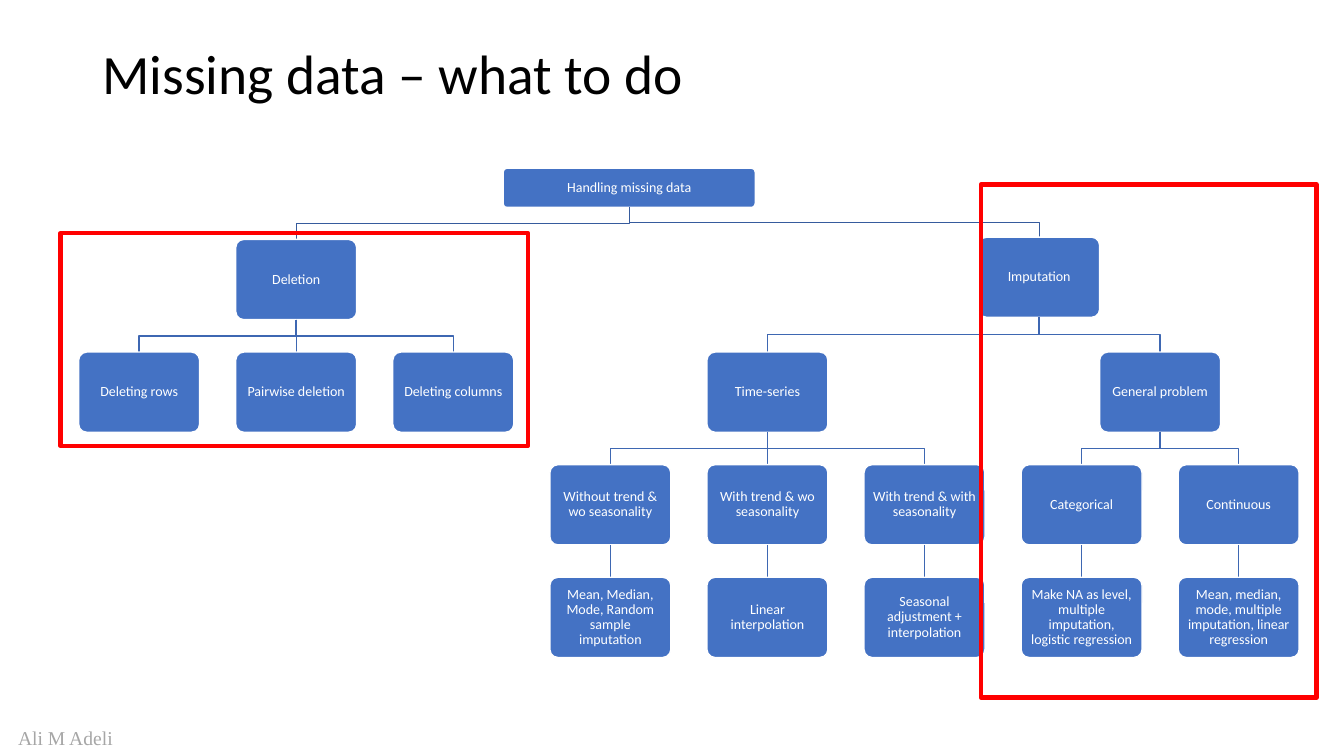
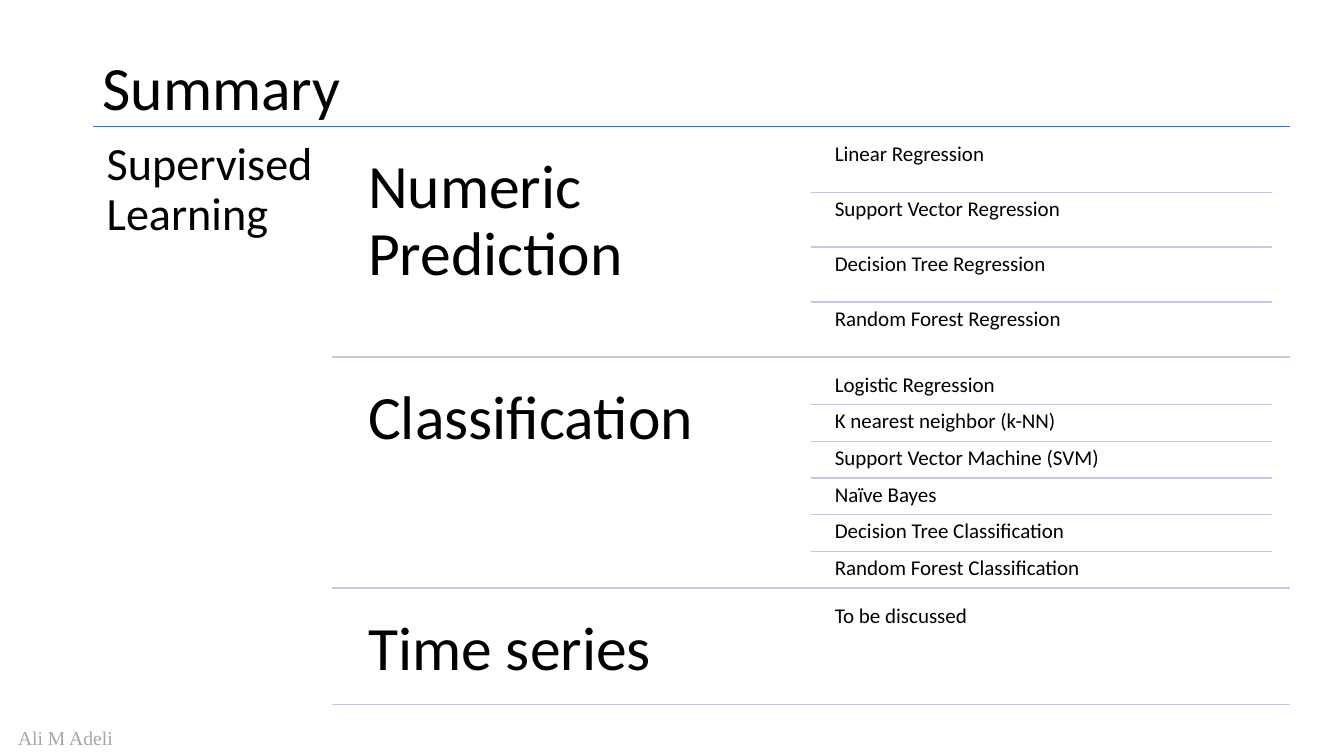
from dataclasses import dataclass

from lxml.etree import SubElement
from pptx import Presentation
from pptx.dml.color import RGBColor
from pptx.enum.shapes import MSO_CONNECTOR, MSO_SHAPE
from pptx.enum.text import MSO_ANCHOR, PP_ALIGN
from pptx.oxml.ns import qn
from pptx.util import Pt

BLACK = RGBColor(0x00, 0x00, 0x00)
WHITE = RGBColor(0xFF, 0xFF, 0xFF)
GREY = RGBColor(0xA6, 0xA6, 0xA6)
RED = RGBColor(0xFF, 0x00, 0x00)
BLUE = RGBColor(0x44, 0x72, 0xC4)
ROOT_BRANCH = RGBColor(0x36, 0x5B, 0x9D)
BRANCH = RGBColor(0x3E, 0x67, 0xB2)
PALE_RULE = RGBColor(0xC1, 0xC9, 0xE4)

FIRST_COLUMN, COLUMN_PITCH = 99.4, 112.2
FIRST_LEVEL, LEVEL_PITCH = 171, 80.45


@dataclass
class Node:
    text: str
    column: float
    level: int
    children: tuple = ()
    raised: float = 0
    width: float = 86.4
    height: float = 57.3

    @property
    def center(self):
        return FIRST_COLUMN + self.column * COLUMN_PITCH

    @property
    def top(self):
        return FIRST_LEVEL + self.level * LEVEL_PITCH - self.raised

    @property
    def bottom(self):
        return self.top + self.height


class Deck:
    font = "Calibri"
    line_spacing = 0.9

    def __init__(self):
        self.presentation = Presentation()
        self.presentation.slide_width = Pt(960)
        self.presentation.slide_height = Pt(540)
        self.slide = None

    def new_slide(self, title, title_height, title_size):
        layout = self.presentation.slide_layouts[6]
        self.slide = self.presentation.slides.add_slide(layout)
        self.text("Ali M Adeli", 5.8, 514.8, 105.8, 24.5, 14, GREY,
                  font="Times New Roman", spacing=1)
        self.text(title, 66.2, 28.8, 828, title_height, title_size,
                  anchor=MSO_ANCHOR.MIDDLE)

    def label(self, shape, text, size, color, inset=None, font=None,
              spacing=None, anchor=MSO_ANCHOR.TOP, align=PP_ALIGN.LEFT):
        frame = shape.text_frame
        frame.word_wrap = True
        frame.vertical_anchor = anchor
        if inset is not None:
            frame.margin_left = frame.margin_right = Pt(inset)
            frame.margin_top = frame.margin_bottom = Pt(inset)
        paragraph = frame.paragraphs[0]
        paragraph.text = text
        paragraph.alignment = align
        paragraph.line_spacing = spacing or self.line_spacing
        paragraph.font.name = font or self.font
        paragraph.font.size = Pt(size)
        paragraph.font.color.rgb = color

    def text(self, text, left, top, width, height, size, color=BLACK, **style):
        box = self.slide.shapes.add_textbox(
            Pt(left), Pt(top), Pt(width), Pt(height))
        self.label(box, text, size, color, **style)

    def outline(self, shape, color, width):
        shape.line.color.rgb = color
        shape.line.width = Pt(width)

    def rule(self, x1, y1, x2, y2, color):
        line = self.slide.shapes.add_connector(
            MSO_CONNECTOR.STRAIGHT, Pt(x1), Pt(y1), Pt(x2), Pt(y2))
        self.outline(line, color, 1)
        SubElement(line._element.spPr, qn("a:effectLst"))

    def branch(self, parent, child, color):
        start, end = parent.center, child.center
        if start == end:
            self.rule(start, parent.bottom, end, child.top, color)
            return
        middle = (parent.bottom + child.top) / 2
        builder = self.slide.shapes.build_freeform(Pt(start), Pt(parent.bottom))
        corners = [(start, middle), (end, middle), (end, child.top)]
        builder.add_line_segments([(Pt(x), Pt(y)) for x, y in corners], close=False)
        elbow = builder.convert_to_shape()
        elbow.shadow.inherit = False
        elbow.fill.background()
        self.outline(elbow, color, 1)

    def node(self, node):
        box = self.slide.shapes.add_shape(
            MSO_SHAPE.ROUNDED_RECTANGLE, Pt(node.center - node.width / 2),
            Pt(node.top), Pt(node.width), Pt(node.height))
        box.adjustments[0] = 0.1
        box.shadow.inherit = False
        box.fill.solid()
        box.fill.fore_color.rgb = BLUE
        self.outline(box, WHITE, 1)
        self.label(box, node.text, 10, WHITE, inset=4.6,
                   anchor=MSO_ANCHOR.MIDDLE, align=PP_ALIGN.CENTER)

    def tree(self, parent, color):
        self.node(parent)
        for child in parent.children:
            self.branch(parent, child, color)
            self.tree(child, BRANCH)

    def frame(self, left, top, width, height):
        frame = self.slide.shapes.add_shape(
            MSO_SHAPE.RECTANGLE, Pt(left), Pt(top), Pt(width), Pt(height))
        frame.shadow.inherit = False
        frame.fill.background()
        self.outline(frame, RED, 3)

    def section(self, heading, methods, top, height):
        self.text(heading, 250, top, 329, height, 44, inset=13)
        row_height = height / len(methods)
        for index, method in enumerate(methods):
            row_top = top + index * row_height
            if index:
                self.rule(579, row_top, 908.6, row_top, PALE_RULE)
            self.text(method, 592, row_top, 329, row_height, 15, inset=4.3)
        self.rule(237, top + height, 921.6, top + height, PALE_RULE)


DELETION = Node("Deletion", 1, 0, (
    Node("Deleting rows", 0, 1),
    Node("Pairwise deletion", 1, 1),
    Node("Deleting columns", 2, 1),
))
TIME_SERIES = Node("Time-series", 4, 1, (
    Node("Without trend & wo seasonality", 3, 2, (
        Node("Mean, Median, Mode, Random sample imputation", 3, 3),)),
    Node("With trend & wo seasonality", 4, 2, (
        Node("Linear interpolation", 4, 3),)),
    Node("With trend & with seasonality", 5, 2, (
        Node("Seasonal adjustment + interpolation", 5, 3),)),
))
GENERAL_PROBLEM = Node("General problem", 6.5, 1, (
    Node("Categorical", 6, 2, (
        Node("Make NA as level, multiple imputation, logistic regression", 6, 3),)),
    Node("Continuous", 7, 2, (
        Node("Mean, median, mode, multiple imputation, linear regression", 7, 3),)),
))
IMPUTATION = Node("Imputation", 5.73, 0, (TIME_SERIES, GENERAL_PROBLEM), raised=1.6)
HANDLING = Node("Handling missing data", 3.12, 0, (DELETION, IMPUTATION),
                raised=50.8, width=180, height=28)

SECTIONS = [
    ("Numeric Prediction", 157, [
        "Linear Regression", "Support Vector Regression",
        "Decision Tree Regression", "Random Forest Regression"]),
    ("Classification", 157, [
        "Logistic Regression", "K nearest neighbor (k-NN)",
        "Support Vector Machine (SVM)", "Naïve Bayes",
        "Decision Tree Classification", "Random Forest Classification"]),
    ("Time series", 75.6, ["To be discussed"]),
]
SECTION_GAP = 7.85


def main():
    deck = Deck()

    deck.new_slide("Missing data – what to do", 51.8, 39.6)
    deck.tree(HANDLING, ROOT_BRANCH)
    deck.frame(700.6, 131.8, 239.8, 366.5)
    deck.frame(43.2, 166.5, 334, 152)

    deck.new_slide("Summary", 72, 44)
    deck.rule(66.2, 90.2, 921.6, 90.2, BLUE)
    deck.text("Supervised Learning", 66.2, 90.2, 171.2, 421, 33, inset=10)
    top = 90.2
    for heading, height, methods in SECTIONS:
        top += SECTION_GAP
        deck.section(heading, methods, top, height)
        top += height

    deck.presentation.save("out.pptx")


if __name__ == "__main__":
    main()
